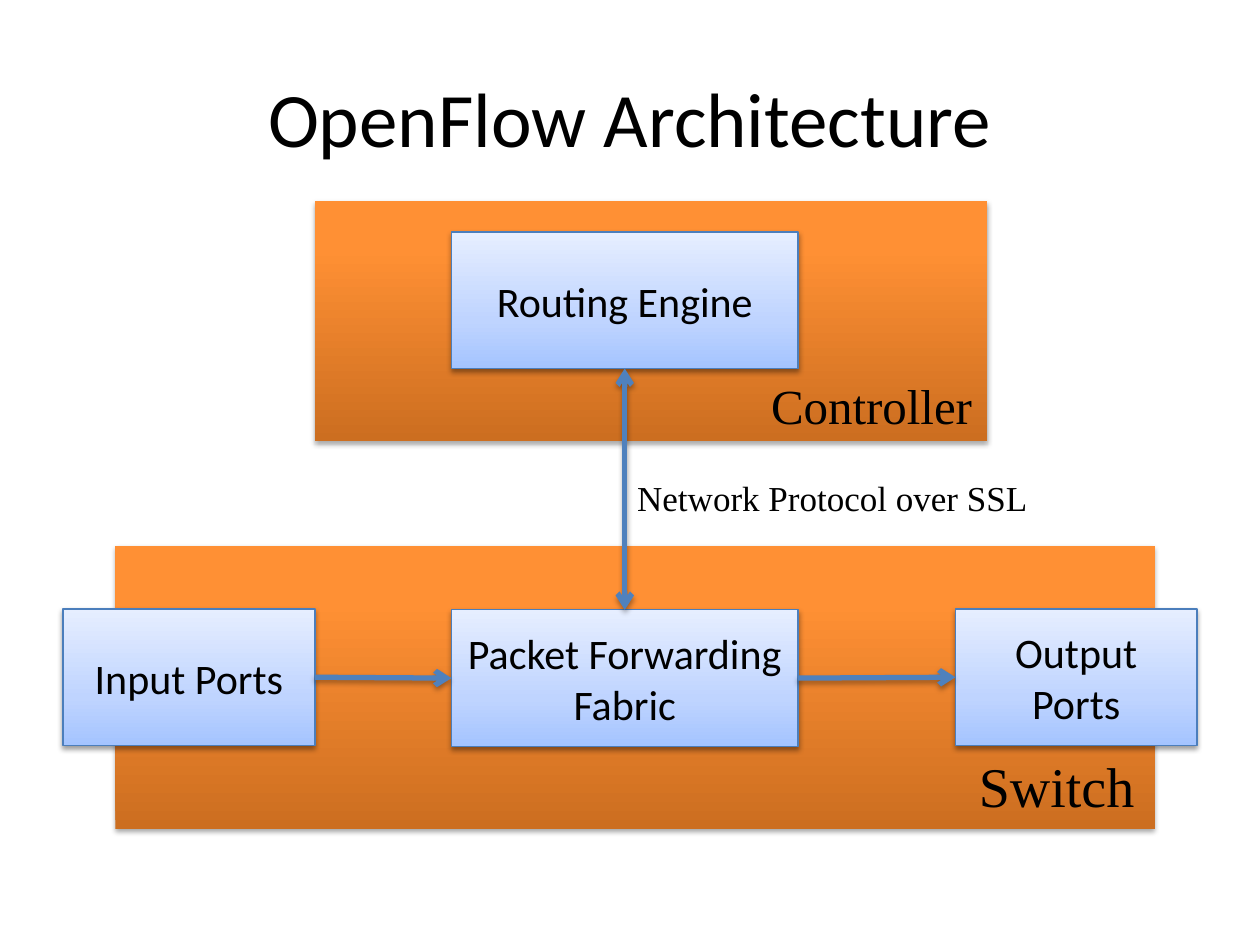
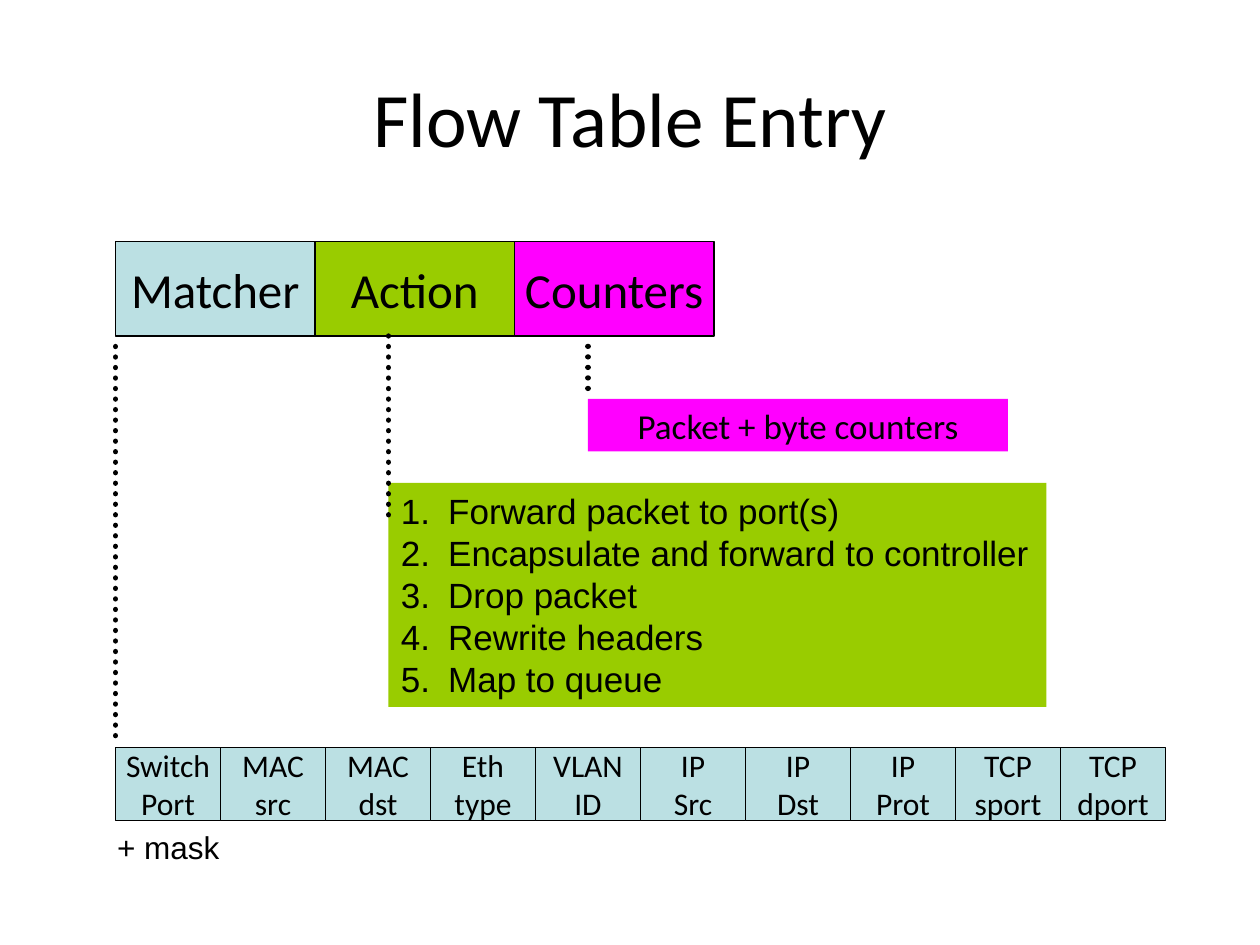
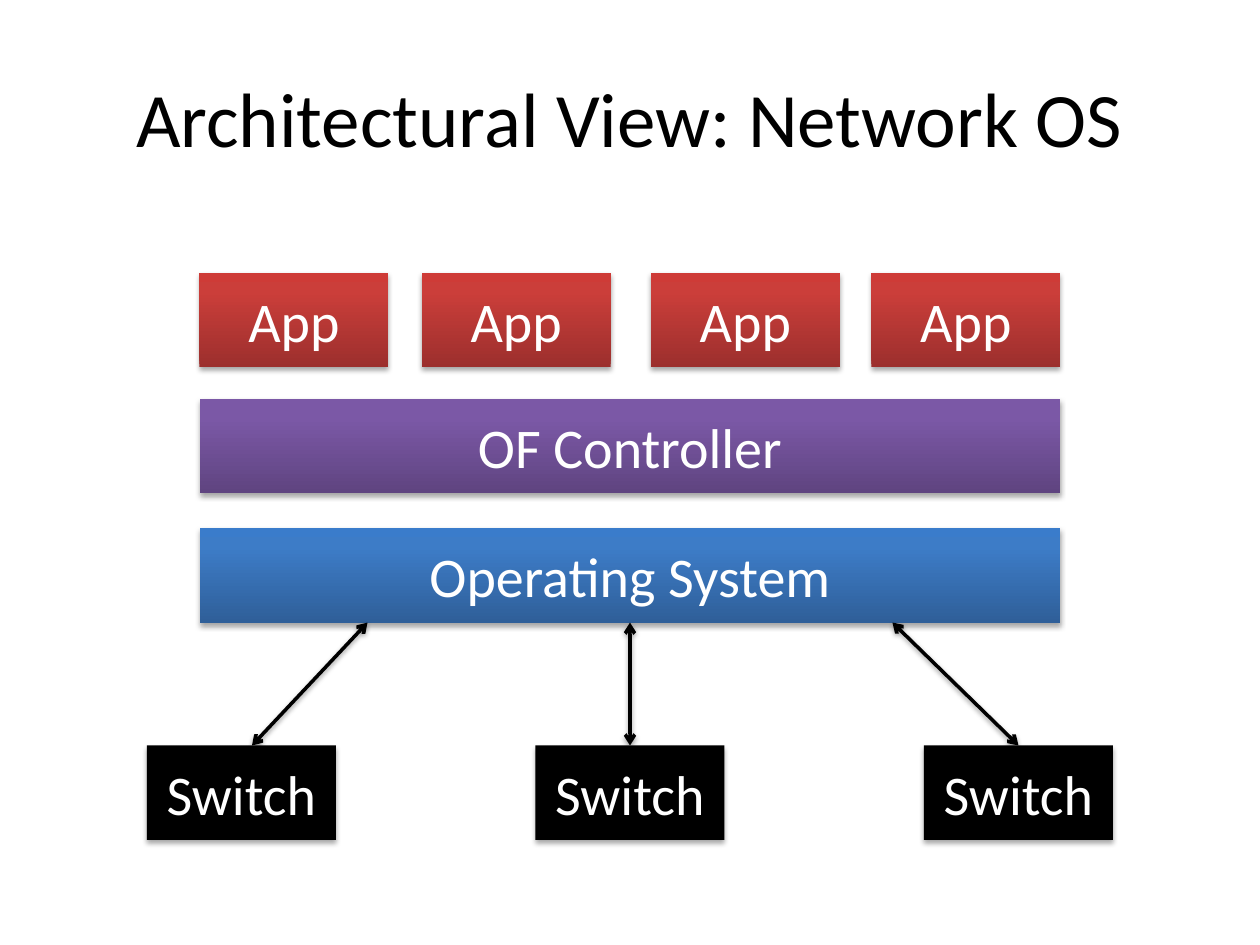
from copy import deepcopy

from lxml.etree import SubElement
from pptx import Presentation
from pptx.dml.color import RGBColor
from pptx.enum.dml import MSO_LINE
from pptx.enum.shapes import MSO_CONNECTOR, MSO_SHAPE
from pptx.enum.text import MSO_ANCHOR, MSO_AUTO_SIZE, PP_ALIGN
from pptx.oxml.ns import qn
from pptx.util import Pt

# Shared colours, gradients (bottom to top) and fonts
BLACK = RGBColor(0x00, 0x00, 0x00)
WHITE = RGBColor(0xFF, 0xFF, 0xFF)
ARROW_BLUE = RGBColor(0x4F, 0x81, 0xBD)
EDGE_BLUE = RGBColor(0x4B, 0x7E, 0xBC)
PALE_TEAL = RGBColor(0xBB, 0xE0, 0xE3)
GREEN = RGBColor(0x99, 0xCC, 0x00)
MAGENTA = RGBColor(0xFF, 0x00, 0xFF)


def gradient(middle, *colours):
    return list(zip((0, middle, 1), map(RGBColor.from_string, colours)))


ORANGE = gradient(0.8, "CC6E20", "FF9034", "FF9136")
LIGHT_BLUE = gradient(0.35, "A4C4FF", "BFD4FF", "E6EEFF")
PURPLE = gradient(0.8, "5F4480", "7B58A6", "7C57A8")
BLUE = gradient(0.8, "2F5F99", "3D7CC7", "3A7CCB")
RED = gradient(0.8, "9C2F2D", "CB3E3A", "CE3B37")

# Shadow as (opacity in percent, distance in points)
STRONG = (35, 1.8)
SUBTLE = (38, 1.6)

SANS, SERIF, PLAIN = "Calibri", "Times New Roman", "Arial"
TOP, LEFT, BOTTOM, RIGHT = range(4)

# Content: slide 1
ZONES = [(180, 114.75, 384, 137), (66, 312, 594, 162)]
COMPONENTS = {
    "Routing Engine": (258, 132.6, 198, 78),
    "Packet Forwarding Fabric": (258, 348.5, 198, 78),
    "Input Ports": (36, 348, 144, 78),
    "Output Ports": (546, 348, 138, 78),
}
FLOWS = [  # from, side, to, side, two-way
    ("Input Ports", RIGHT, "Packet Forwarding Fabric", LEFT, False),
    ("Packet Forwarding Fabric", RIGHT, "Output Ports", LEFT, False),
    ("Routing Engine", BOTTOM, "Packet Forwarding Fabric", TOP, True),
]
ZONE_LABELS = [
    ("Switch", 32, (552.25, 426, 104.4, 46)),
    ("Controller", 28, (433.5, 211, 130.3, 41)),
    ("Network Protocol over SSL", 20, (357, 268.6, 239, 31.7)),
]

# Content: slide 2
ENTRY_PARTS = [("Matcher", PALE_TEAL), ("Action", GREEN), ("Counters", MAGENTA)]
MATCH_FIELDS = ["Switch\nPort", "MAC\nsrc", "MAC\ndst", "Eth\ntype", "VLAN\nID",
                "IP\nSrc", "IP\nDst", "IP\nProt", "TCP\nsport", "TCP\ndport"]
ACTIONS = ["Forward packet to port(s)", "Encapsulate and forward to controller",
           "Drop packet", "Rewrite headers", "Map to queue"]
GUIDES = [(66, 198, 426), (222, 192, 300), (336, 222, 192)]  # x, from y, to y

# Content: slide 3
LAYERS = [("OF Controller", PURPLE, 228), ("Operating System", BLUE, 301.75)]
APP_LEFTS = [114, 241, 372, 498]
SWITCH_LEFTS = [84, 306, 528]
SWITCH_LINKS = [(210, 144), (360, 360), (510, 582)]  # x above, x below


def write(frame, text, size, font=SANS, colour=BLACK, align=PP_ALIGN.CENTER,
          anchor=MSO_ANCHOR.MIDDLE, wrap=True):
    frame.word_wrap = wrap
    frame.vertical_anchor = anchor
    for number, words in enumerate(text.split("\n")):
        paragraph = frame.add_paragraph() if number else frame.paragraphs[0]
        paragraph.alignment = align
        run = paragraph.add_run()
        run.text = words
        run.font.size = Pt(size)
        run.font.name = font
        run.font.color.rgb = colour


def add_shadow(effects, opacity, distance):
    outer = SubElement(effects, qn("a:outerShdw"), blurRad=str(Pt(3.1)),
                       dist=str(Pt(distance)), dir="5400000", rotWithShape="0")
    colour = SubElement(outer, qn("a:srgbClr"), val=str(BLACK))
    SubElement(colour, qn("a:alpha"), val=str(opacity * 1000))


def add_box(slide, place, fill, edge=None, shadow=None):
    box = slide.shapes.add_shape(MSO_SHAPE.RECTANGLE, *map(Pt, place))
    properties = box._element.spPr
    if isinstance(fill, list):
        box.fill.gradient()
        box.fill.gradient_angle = 90
        stops = properties.find(".//" + qn("a:gsLst"))
        stops.insert(1, deepcopy(stops[0]))
        for stop, (position, colour) in zip(box.fill.gradient_stops, fill):
            stop.position = position
            stop.color.rgb = colour
    else:
        box.fill.solid()
        box.fill.fore_color.rgb = fill
    if edge is None:
        box.line.fill.background()
    else:
        box.line.color.rgb = edge
        box.line.width = Pt(0.75)
    box.shadow.inherit = False
    if shadow:
        add_shadow(properties.find(qn("a:effectLst")), *shadow)
    return box


def add_line(slide, ends, colour, width, heads=(), dotted=False, shadow=None):
    line = slide.shapes.add_connector(MSO_CONNECTOR.STRAIGHT, *map(Pt, ends))
    line.line.color.rgb = colour
    line.line.width = Pt(width)
    properties = line._element.spPr
    stroke = properties.find(qn("a:ln"))
    if dotted:
        line.line.dash_style = MSO_LINE.ROUND_DOT
        stroke.set("cap", "rnd")
    for head in heads:
        SubElement(stroke, qn(head), type="arrow")
    effects = SubElement(properties, qn("a:effectLst"))
    if shadow:
        add_shadow(effects, *shadow)
    return line


def add_label(slide, place, text, size, font):
    label = slide.shapes.add_textbox(*map(Pt, place))
    write(label.text_frame, text, size, font, align=PP_ALIGN.LEFT,
          anchor=MSO_ANCHOR.TOP, wrap=False)
    label.text_frame.auto_size = MSO_AUTO_SIZE.SHAPE_TO_FIT_TEXT


def add_slide(deck, title):
    slide = deck.slides.add_slide(deck.slide_layouts[6])
    heading = slide.shapes.add_textbox(*map(Pt, (36, 21.6, 648, 90)))
    write(heading.text_frame, title, 44)
    return slide


def build_architecture(deck):
    slide = add_slide(deck, "OpenFlow Architecture")
    for place in ZONES:
        add_box(slide, place, ORANGE, shadow=STRONG)
    components = {}
    for name, place in COMPONENTS.items():
        components[name] = add_box(slide, place, LIGHT_BLUE, EDGE_BLUE, SUBTLE)
        write(components[name].text_frame, name, 24)
    for source, exit_side, target, entry_side, two_way in FLOWS:
        heads = ("a:headEnd", "a:tailEnd") if two_way else ("a:tailEnd",)
        flow = add_line(slide, (0, 0, 0, 0), ARROW_BLUE, 3, heads, shadow=STRONG)
        flow.begin_connect(components[source], exit_side)
        flow.end_connect(components[target], entry_side)
    for text, size, place in ZONE_LABELS:
        add_label(slide, place, text, size, SERIF)


def build_flow_table(deck):
    slide = add_slide(deck, "Flow Table Entry")

    # Header fields and entry parts, each row in equal cells
    for column, field in enumerate(MATCH_FIELDS):
        cell = add_box(slide, (66 + 60 * column, 427, 60, 42), PALE_TEAL, BLACK)
        write(cell.text_frame, field, 18, wrap=False)
    for column, (part, fill) in enumerate(ENTRY_PARTS):
        cell = add_box(slide, (66 + 114 * column, 138, 114, 54), fill, BLACK)
        write(cell.text_frame, part, 28, wrap=False)

    # Numbered actions
    actions = add_box(slide, (222, 276, 376, 128), GREEN)
    frame = actions.text_frame
    write(frame, "\n".join(ACTIONS), 20, PLAIN, align=PP_ALIGN.LEFT,
          anchor=MSO_ANCHOR.TOP, wrap=False)
    frame.auto_size = MSO_AUTO_SIZE.SHAPE_TO_FIT_TEXT
    for paragraph in frame.paragraphs:
        layout = paragraph._p.get_or_add_pPr()
        layout.set("marL", str(Pt(27)))
        layout.set("indent", str(-Pt(27)))
        SubElement(layout, qn("a:buAutoNum"), type="arabicPeriod")

    add_label(slide, (59.8, 469.4, 72.7, 28.8), "+ mask", 18, PLAIN)
    counters = add_box(slide, (336, 228, 240, 30), MAGENTA)
    write(counters.text_frame, "Packet + byte counters", 20, wrap=False)
    for x, start, end in GUIDES:
        add_line(slide, (x, start, x, end), BLACK, 3, dotted=True)


def build_network_os(deck):
    slide = add_slide(deck, "Architectural View: Network OS")
    blocks = [(name, fill, (114, top, 492, 54)) for name, fill, top in LAYERS]
    blocks += [("App", RED, (left, 156, 108, 54)) for left in APP_LEFTS]
    blocks += [("Switch", BLACK, (left, 426, 108, 54)) for left in SWITCH_LEFTS]
    boxes = []
    for name, fill, place in blocks:
        boxes.append(add_box(slide, place, fill, shadow=STRONG))
        write(boxes[-1].text_frame, name, 32, colour=WHITE)

    # Two-way links, joined where they meet the middle of a side
    system, switches = boxes[1], boxes[-len(SWITCH_LEFTS):]
    for (upper, lower), switch in zip(SWITCH_LINKS, switches):
        link = add_line(slide, (upper, 355.75, lower, 426), BLACK, 2,
                        ("a:headEnd", "a:tailEnd"), shadow=SUBTLE)
        if Pt(upper) == system.left + system.width // 2:
            link.begin_connect(system, BOTTOM)
        if Pt(lower) == switch.left + switch.width // 2:
            link.end_connect(switch, TOP)


def main():
    deck = Presentation()
    deck.slide_width, deck.slide_height = Pt(720), Pt(540)
    build_architecture(deck)
    build_flow_table(deck)
    build_network_os(deck)
    deck.save("out.pptx")


if __name__ == "__main__":
    main()
